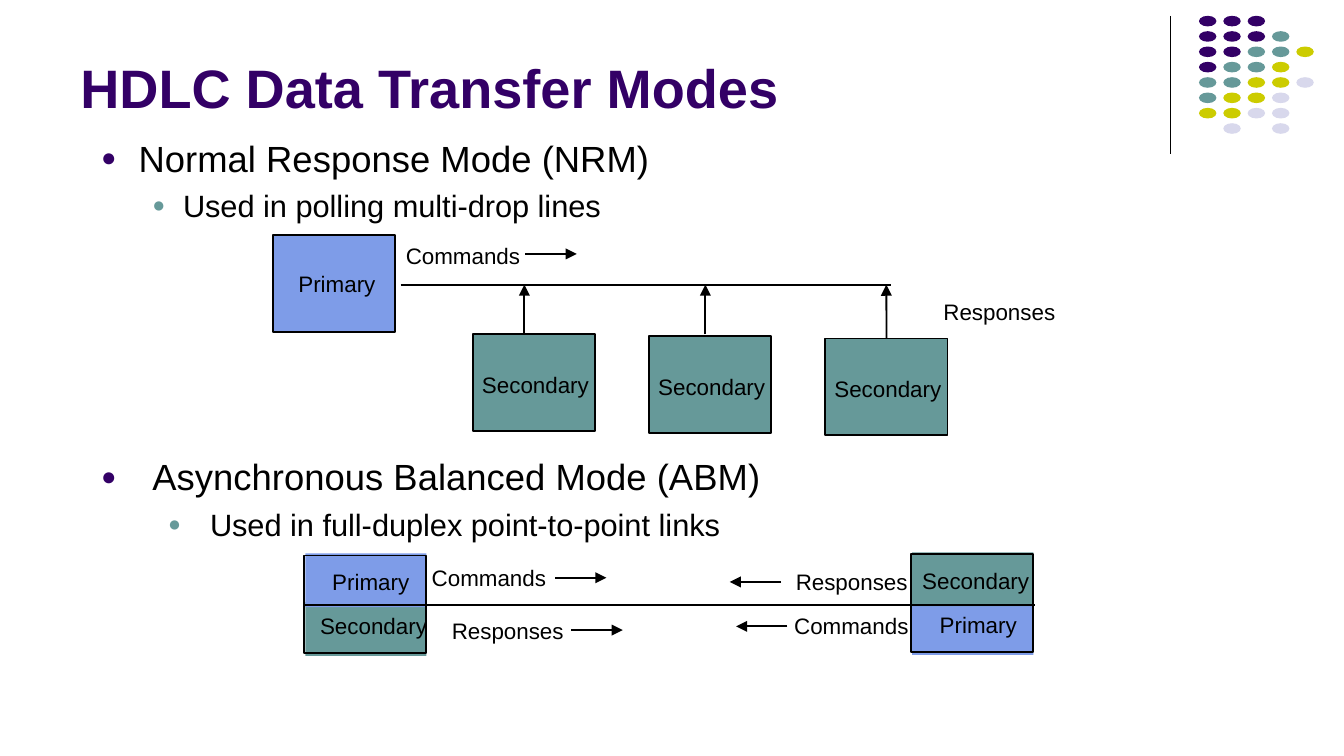
from lxml import etree
from pptx import Presentation
from pptx.dml.color import RGBColor
from pptx.enum.shapes import MSO_CONNECTOR, MSO_SHAPE
from pptx.enum.text import MSO_ANCHOR, MSO_AUTO_SIZE
from pptx.oxml.ns import qn
from pptx.util import Cm, Pt

RECT = MSO_SHAPE.RECTANGLE
OVAL = MSO_SHAPE.OVAL
STRAIGHT = MSO_CONNECTOR.STRAIGHT
TOP, BOTTOM = MSO_ANCHOR.TOP, MSO_ANCHOR.BOTTOM
FIT, NO_FIT = MSO_AUTO_SIZE.SHAPE_TO_FIT_TEXT, MSO_AUTO_SIZE.NONE

COLORS = {
    "ink": "000000",
    "purple": "330066",
    "teal": "669999",
    "yellow": "CCCC00",
    "lilac": "D8D8EC",
    "blue": "7E9CE8",
}
DOT_COLORS = {"P": "purple", "T": "teal", "Y": "yellow", "L": "lilac"}
DOT_ROWS = ["PPP", "PPPT", "PPTTY", "PTTY", "TTYYL", "TYYL", "YYLL", " L L"]
LABEL_WIDTHS = {"Primary": 1.85, "Secondary": 2.41, "Commands": 2.57, "Responses": 2.51}


def rgb(name):
    return RGBColor.from_string(COLORS[name])


def add_bullet(p, color, margin, hanging):
    pPr = p._p.get_or_add_pPr()
    pPr.set("marL", str(Cm(margin)))
    pPr.set("indent", str(-Cm(hanging)))
    clr = etree.SubElement(pPr, qn("a:buClr"))
    etree.SubElement(clr, qn("a:srgbClr"), val=COLORS[color])
    etree.SubElement(pPr, qn("a:buSzPct"), val="70000")
    etree.SubElement(pPr, qn("a:buFont"), typeface="Arial")
    etree.SubElement(pPr, qn("a:buChar"), char="●")


def write(p, text, size=12, color="ink", bold=False, level=0, before=0, bullet=None):
    p.level = level
    if bullet:
        add_bullet(p, *bullet)
    if before:
        p.space_before = Pt(before)
    r = p.add_run()
    r.text = text
    r.font.name = "Arial"
    r.font.size = Pt(size)
    r.font.bold = bold
    r.font.color.rgb = rgb(color)


class Deck:
    def __init__(self):
        self.prs = Presentation()
        self.prs.slide_width = Cm(25.4)
        self.prs.slide_height = Cm(14.29)
        self.s = self.prs.slides.add_slide(self.prs.slide_layouts[6])

    def shape(self, kind, x, y, w, h, fill=None, outline=False):
        sp = self.s.shapes.add_shape(kind, Cm(x), Cm(y), Cm(w), Cm(h))
        sp.shadow.inherit = False
        if fill:
            sp.fill.solid()
            sp.fill.fore_color.rgb = rgb(fill)
        else:
            sp.fill.background()
        if outline:
            sp.line.color.rgb = rgb("ink")
            sp.line.width = Pt(1)
        else:
            sp.line.fill.background()
        return sp

    def line(self, x1, y1, x2, y2, width=1, arrow=False):
        cn = self.s.shapes.add_connector(STRAIGHT, Cm(x1), Cm(y1), Cm(x2), Cm(y2))
        cn.line.color.rgb = rgb("ink")
        cn.line.width = Pt(width)
        if arrow:
            etree.SubElement(cn.line._get_or_add_ln(), qn("a:tailEnd"), type="triangle")
        etree.SubElement(cn._element.spPr, qn("a:effectLst"))
        return cn

    def frame(self, x, y, w, h, wrap=True, fit=NO_FIT, anchor=TOP, insets=(0.18, 0.1)):
        tf = self.s.shapes.add_textbox(Cm(x), Cm(y), Cm(w), Cm(h)).text_frame
        tf.word_wrap = wrap
        tf.auto_size = fit
        tf.vertical_anchor = anchor
        tf.margin_left = tf.margin_right = Cm(insets[0])
        tf.margin_top = tf.margin_bottom = Cm(insets[1])
        return tf

    def label(self, text, x, y):
        tf = self.frame(x, y, LABEL_WIDTHS[text], 0.71, wrap=False, fit=FIT)
        write(tf.paragraphs[0], text)

    def title(self, text):
        tf = self.frame(1.27, 0.25, 20.96, 2.13, anchor=BOTTOM, insets=(0.25, 0.13))
        write(tf.paragraphs[0], text, size=29, color="purple", bold=True)

    def mode(self, y, h, name, use, name_indent, use_indent):
        tf = self.frame(1.73, y, 19.38, h, insets=(0.18, 0.18))
        write(tf.paragraphs[0], name, size=19.5, bullet=("purple", *name_indent))
        write(tf.add_paragraph(), use, size=16.5, level=1, before=4,
              bullet=("teal", *use_indent))

    def dots(self):
        for row, codes in enumerate(DOT_ROWS):
            for col, code in enumerate(codes):
                if code in DOT_COLORS:
                    self.shape(OVAL, 22.66 + 0.46 * col, 0.3 + 0.29 * row, 0.33, 0.2,
                               DOT_COLORS[code])

    def multidrop(self):
        self.shape(RECT, 5.16, 4.45, 2.31, 1.83, "blue", outline=True)
        self.label("Primary", 5.46, 5.0)
        self.label("Commands", 7.49, 4.47)
        self.line(9.93, 4.8, 10.9, 4.8, arrow=True)
        self.label("Responses", 17.65, 5.54)
        self.line(7.57, 5.38, 16.84, 5.38)
        for i in range(3):
            x, y = 8.94 + 3.33 * i, 6.32 + 0.04 * i
            sp = self.shape(RECT, x, y, 2.31, 1.83, "teal", outline=True)
            self.label("Secondary", x - 0.01, y + 0.59)
            drop_x = 9.91 + 3.42 * i
            cn = self.line(drop_x, 6.32, drop_x, 5.38, arrow=True)
        cn.begin_connect(sp, 0)

    def station(self, x, y, upper, lower):
        self.shape(RECT, x + 0.02, y + 0.92, 2.29, 1.02, lower)
        self.shape(RECT, x + 0.02, y, 2.29, 1.02, upper)
        self.shape(RECT, x, y + 0.04, 2.31, 1.85, outline=True)

    def balanced(self):
        self.station(17.22, 10.44, "teal", "blue")
        self.station(5.75, 10.46, "blue", "teal")
        self.line(5.74, 11.43, 19.56, 11.43)
        for text, x, y in [
            ("Primary", 6.1, 10.64), ("Secondary", 5.87, 11.48),
            ("Commands", 7.98, 10.57), ("Responses", 8.36, 11.56),
            ("Responses", 14.86, 10.64), ("Commands", 14.83, 11.48),
            ("Secondary", 17.25, 10.62), ("Primary", 17.58, 11.46),
        ]:
            self.label(text, x, y)
        for start, y, length in [
            (10.49, 10.92, 0.97), (10.8, 11.91, 0.97),
            (14.76, 11.0, -0.97), (14.88, 11.84, -0.97),
        ]:
            self.line(start, y, start + length, y, arrow=True)


def main():
    deck = Deck()
    deck.line(22.12, 0.3, 22.12, 2.92, width=0.75)
    deck.dots()
    deck.mode(2.39, 2.26, "Normal Response Mode (NRM)",
              "Used in polling multi-drop lines", (0.71, 0.71), (1.55, 0.58))
    deck.mode(8.41, 1.8, "Asynchronous Balanced Mode (ABM)",
              "Used in full-duplex point-to-point links", (0.97, 0.97), (2.06, 0.79))
    deck.title("HDLC Data Transfer Modes")
    deck.multidrop()
    deck.balanced()
    deck.prs.save("out.pptx")


if __name__ == "__main__":
    main()
